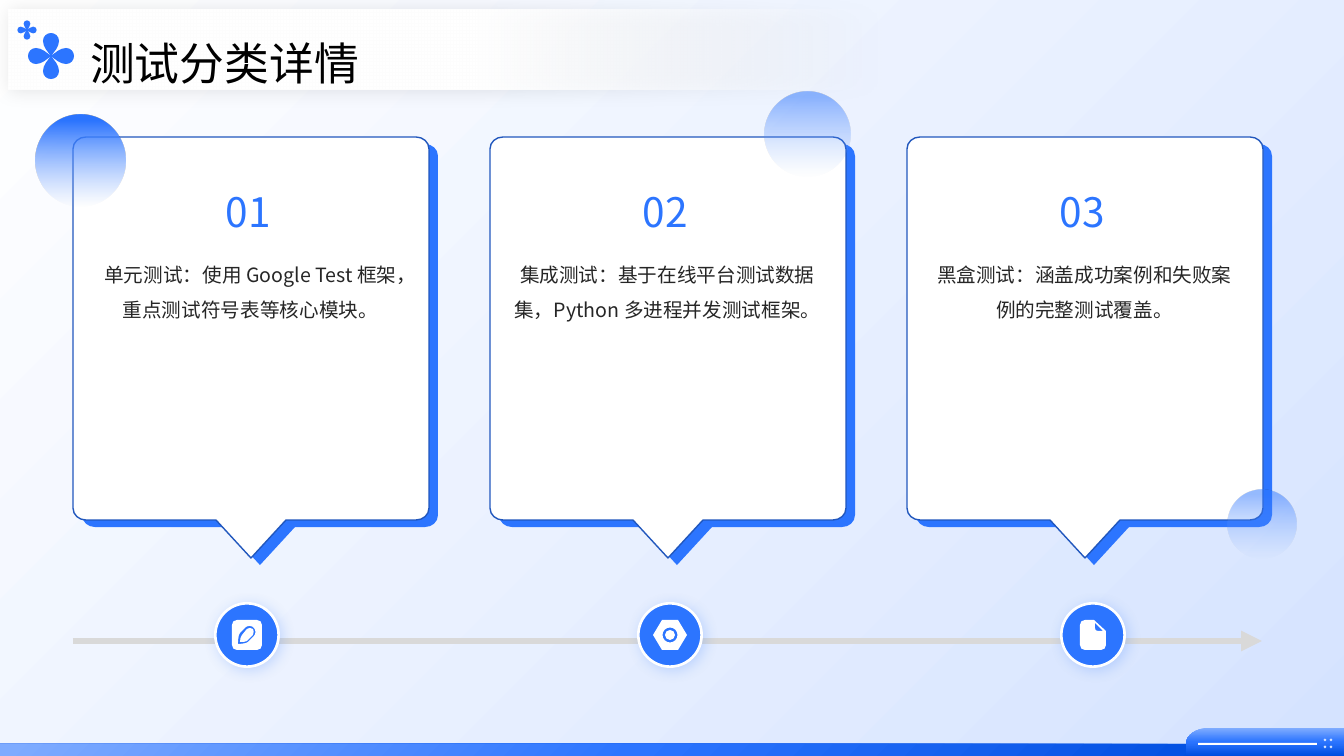
from lxml import etree
from pptx import Presentation
from pptx import util as u
from pptx.dml.color import RGBColor
from pptx.enum import shapes, text
from pptx.oxml import parse_xml
from pptx.oxml.ns import nsdecls, qn

EMU_PER_PX = 914400 / 100.8
FONT = "Noto Sans CJK SC"
BLUE, LIGHT_BLUE, DEEP_BLUE = "2C75FF", "80ACFF", "004EE0"
WHITE, PALE = "FFFFFF", "D5E3FF"
RECT, OVAL = shapes.MSO_SHAPE.RECTANGLE, shapes.MSO_SHAPE.OVAL

CARD_PITCH, BADGE_PITCH = 417, 423
CARDS = [
    "单元测试：使用 Google Test 框架，重点测试符号表等核心模块。",
    "集成测试：基于在线平台测试数据集，Python 多进程并发测试框架。",
    "黑盒测试：涵盖成功案例和失败案例的完整测试覆盖。",
]

# Outlines: a pair is a corner, six numbers are a Bezier curve to the last pair
CARD = [(13, 0), (343, 0), (350, 0, 356, 5, 356, 12), (356, 371),
        (356, 378, 350, 383, 343, 383), (213, 383), (178, 421), (143, 383),
        (13, 383), (6, 383, 0, 378, 0, 371), (0, 12), (0, 5, 6, 0, 13, 0)]
PETAL = [(0, 0), (-3, -4, -8, -9, -8, -15), (-8, -20, -4, -23, 0, -23),
         (4, -23, 8, -20, 8, -15), (8, -9, 3, -4, 0, 0)]
PENCIL_ICON = [
    [(-10, -15), (10, -15), (13, -15, 15, -13, 15, -10), (15, 10),
     (15, 13, 13, 15, 10, 15), (-10, 15), (-13, 15, -15, 13, -15, 10),
     (-15, -10), (-15, -13, -13, -15, -10, -15)],
    [(3, -9), (2, -9, 0, -9, -1, -8), (-7, -2), (-9, 0, -9, 9, -9, 9),
     (-9, 9, -1, 9, 1, 7), (7, 1), (9, -1, 9, -5, 7, -7),
     (6, -8, 5, -9, 3, -9)],
    [(3, -7), (4, -7, 5, -7, 6, -6), (7, -5, 7, -2, 6, 0), (0, 6),
     (-1, 7, -4, 7, -7, 7), (-7, 4, -6, 1, -5, 0), (0, -6),
     (1, -7, 2, -7, 3, -7)],
]
PAGE_ICON = [
    [(-8, -15), (1, -15), (13, -4), (13, 10), (13, 13, 11, 15, 8, 15),
     (-8, 15), (-11, 15, -13, 13, -13, 10), (-13, -10),
     (-13, -13, -11, -15, -8, -15)],
    [(2, -12), (2, -7), (2, -5, 3, -4, 5, -4), (10, -4)],
]


def px(value):
    return u.Emu(round(value * EMU_PER_PX))


def rgb(color):
    return RGBColor.from_string(color)


def pairs(step):
    return list(zip(step[::2], step[1::2]))


def turned(outline, quarter):
    """Rotate an outline by quarter turns around its origin."""
    c, s = [(1, 0), (0, 1), (-1, 0), (0, -1)][quarter]
    return [tuple(v for x, y in pairs(step) for v in (c * x - s * y, s * x + c * y))
            for step in outline]


def circle(cx, cy, radius):
    arc = [(1, 0.55, 0.55, 1, 0, 1)]
    arcs = [(1, 0)] + [turned(arc, quarter)[0] for quarter in range(4)]
    return [tuple(v for x, y in pairs(step) for v in (cx + radius * x, cy + radius * y))
            for step in arcs]


def paint(shape, fill, line=None, shadow=None):
    """Fill is a hex string or (stops, direction); a None direction is radial."""
    shape.shadow.inherit = False
    if isinstance(fill, str):
        shape.fill.solid()
        shape.fill.fore_color.rgb = rgb(fill)
    else:
        stops, angle = fill
        marks = "".join(
            f'<a:gs pos="{pos * 1000}"><a:srgbClr val="{color}">'
            f'<a:alpha val="{alpha * 1000}"/></a:srgbClr></a:gs>'
            for pos, color, alpha in stops)
        way = (f'<a:lin ang="{angle * 60000}" scaled="0"/>' if angle is not None else
               '<a:path path="circle"><a:fillToRect r="100000" b="100000"/></a:path>')
        shape.fill.gradient()
        old = shape.element.spPr.find(qn("a:gradFill"))
        old.getparent().replace(old, parse_xml(
            f'<a:gradFill {nsdecls("a")} rotWithShape="1">'
            f'<a:gsLst>{marks}</a:gsLst>{way}</a:gradFill>'))
    if line:
        shape.line.color.rgb = rgb(line[0])
        shape.line.width = u.Pt(line[1])
    else:
        shape.line.fill.background()
    if shadow:
        color, alpha, blur, distance, angle = shadow
        shape.element.spPr.find(qn("a:effectLst")).append(parse_xml(
            f'<a:outerShdw {nsdecls("a")} blurRad="{u.Pt(blur)}" dist="{u.Pt(distance)}" '
            f'dir="{angle * 60000}" algn="ctr" rotWithShape="0"><a:srgbClr val="{color}">'
            f'<a:alpha val="{alpha * 1000}"/></a:srgbClr></a:outerShdw>'))


def preset(canvas, kind, box, fill, **style):
    paint(canvas.add_shape(kind, *map(px, box)), fill, **style)


def freeform(canvas, outlines, fill, origin=(0, 0), scale=1, **style):
    builder = None
    for outline in outlines:
        # Hundredths of a px keep small curves exact
        points = [tuple(100 * (o + scale * v) for o, v in zip(origin, point))
                  for step in outline for point in pairs(step)]
        if builder is None:
            builder = canvas.build_freeform(*points[0], scale=EMU_PER_PX / 100)
        else:
            builder.move_to(*points[0])
        builder.add_line_segments(points[1:], close=True)
    shape = builder.convert_to_shape()
    # Join each three segments of a curve step into one Bezier
    segments = iter(list(shape.element.iter(qn("a:lnTo"))))
    for step in (step for outline in outlines for step in outline[1:]):
        group = [next(segments) for _ in pairs(step)]
        if len(group) == 3:
            curve = etree.Element(qn("a:cubicBezTo"))
            group[0].addprevious(curve)
            for segment in group:
                curve.append(segment[0])
                segment.getparent().remove(segment)
    paint(shape, fill, **style)


def write(holder, words, size, color, spacing, align, anchor, insets=(0, 0, 0, 0)):
    frame = holder.text_frame
    sides = ("margin_left", "margin_top", "margin_right", "margin_bottom")
    frame_format = dict(zip(sides, map(px, insets)), word_wrap=True,
                        auto_size=text.MSO_AUTO_SIZE.NONE, vertical_anchor=anchor)
    for name, value in frame_format.items():
        setattr(frame, name, value)
    paragraph = frame.paragraphs[0]
    paragraph.alignment, paragraph.line_spacing = align, spacing
    run = paragraph.add_run()
    run.text = words
    for name, value in {"size": u.Pt(size), "name": FONT}.items():
        setattr(run.font, name, value)
    run.font.color.rgb = rgb(color)
    etree.SubElement(run.font._element, qn("a:ea"), typeface=FONT)


def backdrop(canvas):
    preset(canvas, RECT, (0, 0, 1344, 756), ([(0, WHITE, 100), (100, PALE, 100)], 45))
    footer = [(0, 744), (1231, 744), (1235, 744, 1239, 747, 1239, 751), (1237, 756), (0, 756)]
    freeform(canvas, [footer], ([(1, "7EABFF", 100), (51, BLUE, 100), (100, DEEP_BLUE, 100)], None))
    tab = [(1208, 728), (1344, 728), (1344, 756), (1186, 756), (1186, 744),
           (1186, 735, 1197, 728, 1208, 728)]
    freeform(canvas, [tab], ([(0, LIGHT_BLUE, 100), (49, BLUE, 100), (100, DEEP_BLUE, 100)], 90))
    preset(canvas, RECT, (1198, 743, 119, 2), WHITE)
    freeform(canvas, [circle(x, y, 1.5) for x in (1325, 1331) for y in (740, 747)], PALE)


def card(canvas, index, words):
    left, top = 73 + CARD_PITCH * index, 137
    bubble = canvas.add_group_shape().shapes
    freeform(bubble, [CARD], BLUE, (left + 9, top + 7))
    freeform(bubble, [CARD], WHITE, (left, top), line=("2157BD", 1))
    number = canvas.add_textbox(*map(px, (left + 23, 152, 309, 89)))
    write(number, f"{index + 1:02}", 29, BLUE, 1.3, text.PP_ALIGN.CENTER,
          text.MSO_ANCHOR.BOTTOM, (0, 5, 4, 5))
    detail = canvas.add_textbox(*map(px, (left + 23, 251, 309, 221)))
    write(detail, words, 14, "262626", 1.5, text.PP_ALIGN.CENTER, text.MSO_ANCHOR.TOP)


def timeline(canvas):
    axis = canvas.add_connector(shapes.MSO_CONNECTOR.STRAIGHT, px(73), px(641), px(1262), px(641))
    axis.line.color.rgb = rgb("D9D9D9")
    axis.line.width = u.Pt(5)
    etree.SubElement(axis.line._get_or_add_ln(), qn("a:tailEnd"), type="triangle")
    etree.SubElement(axis.element.spPr, qn("a:effectLst"))
    hexagon = [(-8, -15), (8, -15), (17, 0), (8, 15), (-8, 15), (-17, 0)]
    nut_icon = [hexagon, circle(0, 0, 7.5), circle(0, 0, 5)]
    for index, icon in enumerate([PENCIL_ICON, nut_icon, PAGE_ICON]):
        left, top = 214 + BADGE_PITCH * index, 602
        badge = canvas.add_group_shape().shapes
        preset(badge, OVAL, (left, top, 66, 66), WHITE, shadow=(BLUE, 21, 10, 2.7, 45))
        preset(badge, OVAL, (left + 2, top + 2, 62, 62), BLUE, line=(WHITE, 0.91))
        freeform(badge, icon, WHITE, (left + 33, top + 33))


def header(slide):
    preset(slide.shapes, RECT, (9, 10, 1164, 80),
           ([(25, WHITE, 0), (60, WHITE, 100)], 180), shadow=("000000", 10, 13, 0, 0))
    title = slide.shapes.title
    for name, value in zip(("left", "top", "width", "height"), (90, 26, 858, 47)):
        setattr(title, name, px(value))
    write(title, "测试分类详情", 32, "000000", 1.5, text.PP_ALIGN.LEFT, text.MSO_ANCHOR.MIDDLE)
    # Bring the title in front of the header band
    title.element.getparent().append(title.element)
    clover = [turned(PETAL, quarter) for quarter in range(4)]
    for centre, scale in (((51, 56), 1), ((27, 30), 0.42)):
        freeform(slide.shapes, clover, BLUE, centre, scale)


def main():
    deck = Presentation()
    deck.slide_width, deck.slide_height = px(1344), px(756)
    slide = deck.slides.add_slide(deck.slide_layouts[5])
    backdrop(slide.shapes)
    for index, words in enumerate(CARDS):
        card(slide.shapes, index, words)
    timeline(slide.shapes)
    # Fading bubbles over the cards
    for x, y, size, alpha in ((35, 115, 91, 100), (1228, 490, 68, 50), (765, 92, 85, 50)):
        preset(slide.shapes, OVAL, (x, y, size, size),
               ([(7, BLUE, alpha), (100, LIGHT_BLUE, 0)], 90))
    header(slide)
    deck.save("out.pptx")


if __name__ == "__main__":
    main()
